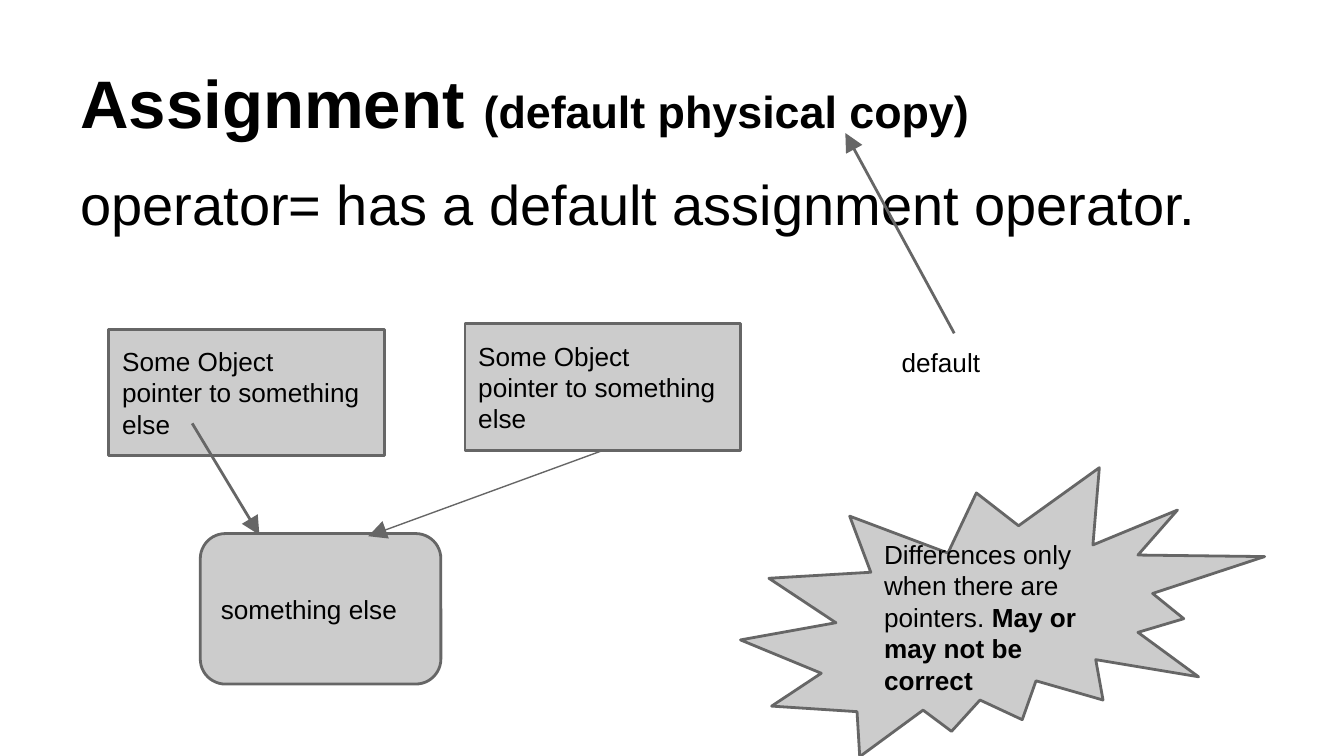
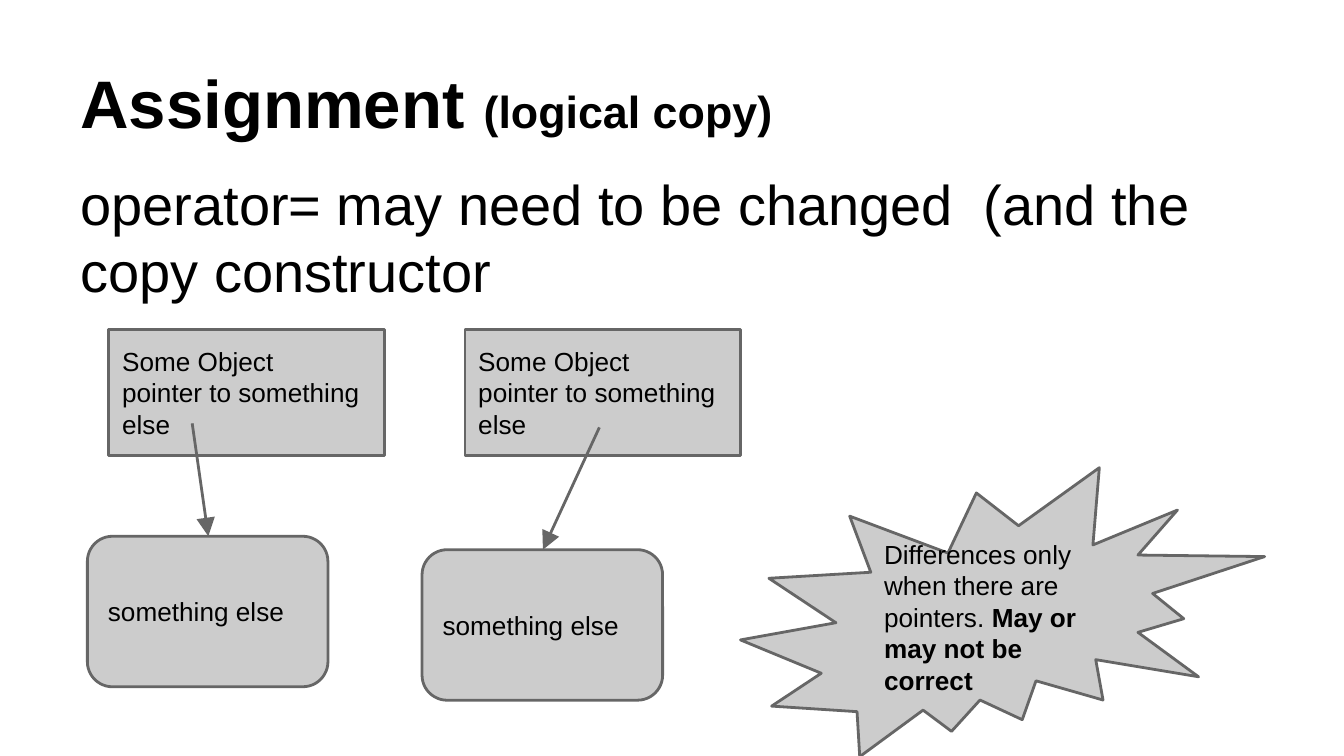
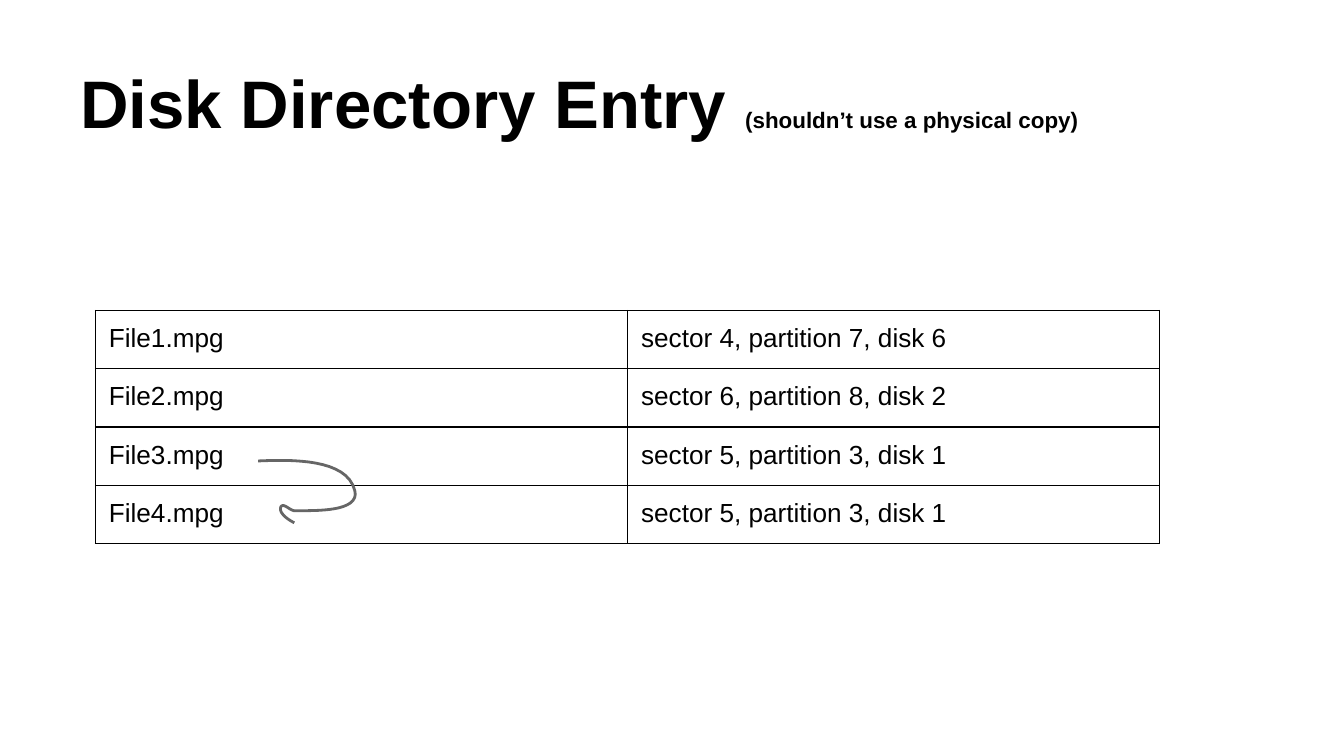
from lxml.etree import SubElement
from pptx import Presentation
from pptx.dml.color import RGBColor
from pptx.enum.shapes import MSO_CONNECTOR, MSO_SHAPE
from pptx.enum.text import MSO_ANCHOR, PP_ALIGN
from pptx.oxml.ns import qn
from pptx.util import Inches, Pt

BLACK, GREY, SILVER = "000000", "666666", "CCCCCC"
MARGINS = {side: Inches(0.1) for side in
           ("margin_left", "margin_right", "margin_top", "margin_bottom")}
FRAME = {"word_wrap": True, **MARGINS}


def paint(target, colour):
    """Give a fill, a line or a font a solid colour."""
    if hasattr(target, "solid"):
        target.solid()
        target = target.fore_color
    else:
        target = target.color
    target.rgb = RGBColor.from_string(colour)


def write(frame, paragraphs):
    """Fill a text frame; each paragraph is a list of (text, size, bold)."""
    for i, runs in enumerate(paragraphs):
        paragraph = frame.paragraphs[0] if i == 0 else frame.add_paragraph()
        paragraph.alignment = PP_ALIGN.LEFT
        for text, size, bold in runs:
            run = paragraph.add_run()
            run.text = text
            for name, value in {"name": "Arial", "size": Pt(size), "bold": bold}.items():
                setattr(run.font, name, value)
            paint(run.font, BLACK)


# Shared contents of the diagrams
some_object = [[("Some Object", 14, False)], [("pointer to something else", 14, False)]]
something_else = [[("something else", 14, False)]]
differences = [[("Differences only when there are pointers. ", 14, False),
                ("May or may not be correct", 14, True)]]
OBJECT = (MSO_SHAPE.RECTANGLE, 2.05, 0.94, some_object)
TARGET = (MSO_SHAPE.ROUNDED_RECTANGLE, 1.79, 1.12, something_else)
BURST = (MSO_SHAPE.EXPLOSION2, 3.9, 2.15, differences)

# Each slide: title, subtitle and its size, body, label, nodes, arrows
slides = [
    {"title": "Assignment ", "subtitle": "(default physical copy)", "subtitle_size": 24,
     "body": "operator= has a default assignment operator.",
     "label": "default",
     "nodes": [(TARGET, 1.49, 3.97), (BURST, 5.51, 3.48),
               (OBJECT, 0.81, 2.45), (OBJECT, 3.46, 2.41)],
     "arrows": [(7.1, 2.48, 6.29, 0.99, 1.5), (1.43, 3.15, 1.93, 3.98, 1.5),
                (4.49, 3.35, 2.74, 3.99, 0.75)]},
    {"title": "Assignment ", "subtitle": "(logical copy)", "subtitle_size": 24,
     "body": "operator= may need to be changed  (and the copy constructor",
     "nodes": [(OBJECT, 0.81, 2.45), (TARGET, 0.65, 3.99), (OBJECT, 3.46, 2.45),
               (BURST, 5.51, 3.48), (TARGET, 3.14, 4.09)],
     "arrows": [(1.43, 3.15, 1.55, 3.99, 1.5), (4.46, 3.18, 4.04, 4.09, 1.5)]},
    {"title": "Disk Directory Entry ", "subtitle": "(shouldn’t use a physical copy)",
     "subtitle_size": 12},
]

deck = Presentation()
deck.slide_width = Inches(10)
deck.slide_height = deck.slide_width * 9 // 16

for content in slides:
    slide = deck.slides.add_slide(deck.slide_layouts[6])

    # Title, body and label
    texts = [(0.5, 0.23, 9, 0.93, MSO_ANCHOR.BOTTOM,
              [(content["title"], 36, True),
               (content["subtitle"], content["subtitle_size"], True)])]
    if "body" in content:
        texts.append((0.5, 1.16, 9, 0.94, MSO_ANCHOR.TOP, [(content["body"], 30, False)]))
    if "label" in content:
        texts.append((6.61, 2.48, 0.99, 0.44, MSO_ANCHOR.TOP, [(content["label"], 14, False)]))
    for left, top, width, height, anchor, runs in texts:
        frame = slide.shapes.add_textbox(
            Inches(left), Inches(top), Inches(width), Inches(height)).text_frame
        for name, value in {**FRAME, "vertical_anchor": anchor}.items():
            setattr(frame, name, value)
        write(frame, [runs])

    # Objects, their targets and the remark
    for (outline, width, height, paragraphs), left, top in content.get("nodes", []):
        node = slide.shapes.add_shape(
            outline, Inches(left), Inches(top), Inches(width), Inches(height))
        node.shadow.inherit = False
        paint(node.fill, SILVER)
        paint(node.line, GREY)
        node.line.width = Pt(1.5)
        for name, value in {**FRAME, "vertical_anchor": MSO_ANCHOR.MIDDLE}.items():
            setattr(node.text_frame, name, value)
        write(node.text_frame, paragraphs)

    # Pointers
    for x1, y1, x2, y2, weight in content.get("arrows", []):
        pointer = slide.shapes.add_connector(
            MSO_CONNECTOR.STRAIGHT, Inches(x1), Inches(y1), Inches(x2), Inches(y2))
        paint(pointer.line, GREY)
        pointer.line.width = Pt(weight)
        SubElement(pointer.line._get_or_add_ln(), qn("a:tailEnd"),
                   type="triangle", w="lg", len="lg")
        SubElement(pointer._element.spPr, qn("a:effectLst"))

# Directory table on the last slide
entries = [("File1.mpg", "sector 4, partition 7, disk 6"),
           ("File2.mpg", "sector 6, partition 8, disk 2"),
           ("File3.mpg", "sector 5, partition 3, disk 1"),
           ("File4.mpg", "sector 5, partition 3, disk 1")]
directory_frame = slide.shapes.add_table(
    len(entries), 2, Inches(0.71), Inches(2.31), Inches(7.92), Inches(1.73))
directory = directory_frame.table
directory.first_row = directory.horz_banding = False
for r, entry in enumerate(entries):
    directory.rows[r].height = Inches(0.42)
    for c, text in enumerate(entry):
        cell = directory.cell(r, c)
        for name, value in MARGINS.items():
            setattr(cell, name, value)
        write(cell.text_frame, [[(text, 14, False)]])
        properties = cell._tc.get_or_add_tcPr()
        for edge in ("a:lnL", "a:lnR", "a:lnT", "a:lnB"):
            border = SubElement(properties, qn(edge), w=str(Pt(0.75)))
            SubElement(SubElement(border, qn("a:solidFill")), qn("a:srgbClr"), val=BLACK)
        cell.fill.background()
directory_frame.height = Inches(1.73)

# Curved stroke from File3 to File4, sampled from Bézier segments
start = (1.92, 3.43)
curves = [((2.17, 3.42), (2.58, 3.41), (2.64, 3.65)),
          ((2.68, 3.81), (2.35, 3.8), (2.19, 3.8)),
          ((2.16, 3.8), (2.11, 3.74), (2.09, 3.77)),
          ((2.07, 3.82), (2.15, 3.87), (2.19, 3.89))]
STEPS = 16
points = []
p0 = start
for p1, p2, p3 in curves:
    for step in range(1, STEPS + 1):
        t = step / STEPS
        points.append(tuple(
            Inches((1 - t) ** 3 * a + 3 * (1 - t) ** 2 * t * b
                   + 3 * (1 - t) * t ** 2 * c + t ** 3 * d)
            for a, b, c, d in zip(p0, p1, p2, p3)))
    p0 = p3
builder = slide.shapes.build_freeform(Inches(start[0]), Inches(start[1]))
builder.add_line_segments(points, close=False)
stroke = builder.convert_to_shape()
stroke.shadow.inherit = False
stroke.fill.background()
paint(stroke.line, GREY)
stroke.line.width = Pt(1.5)

deck.save("out.pptx")
